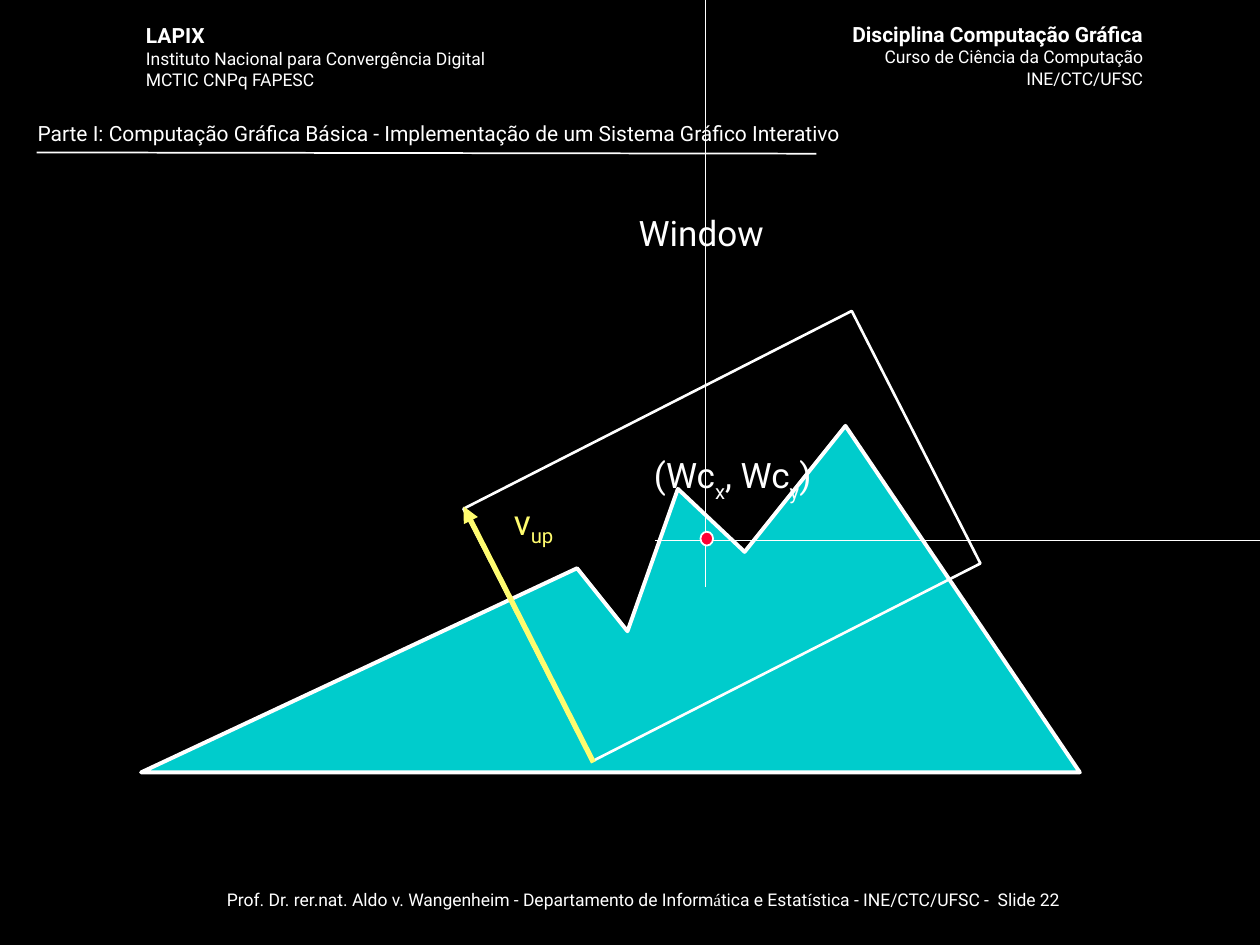
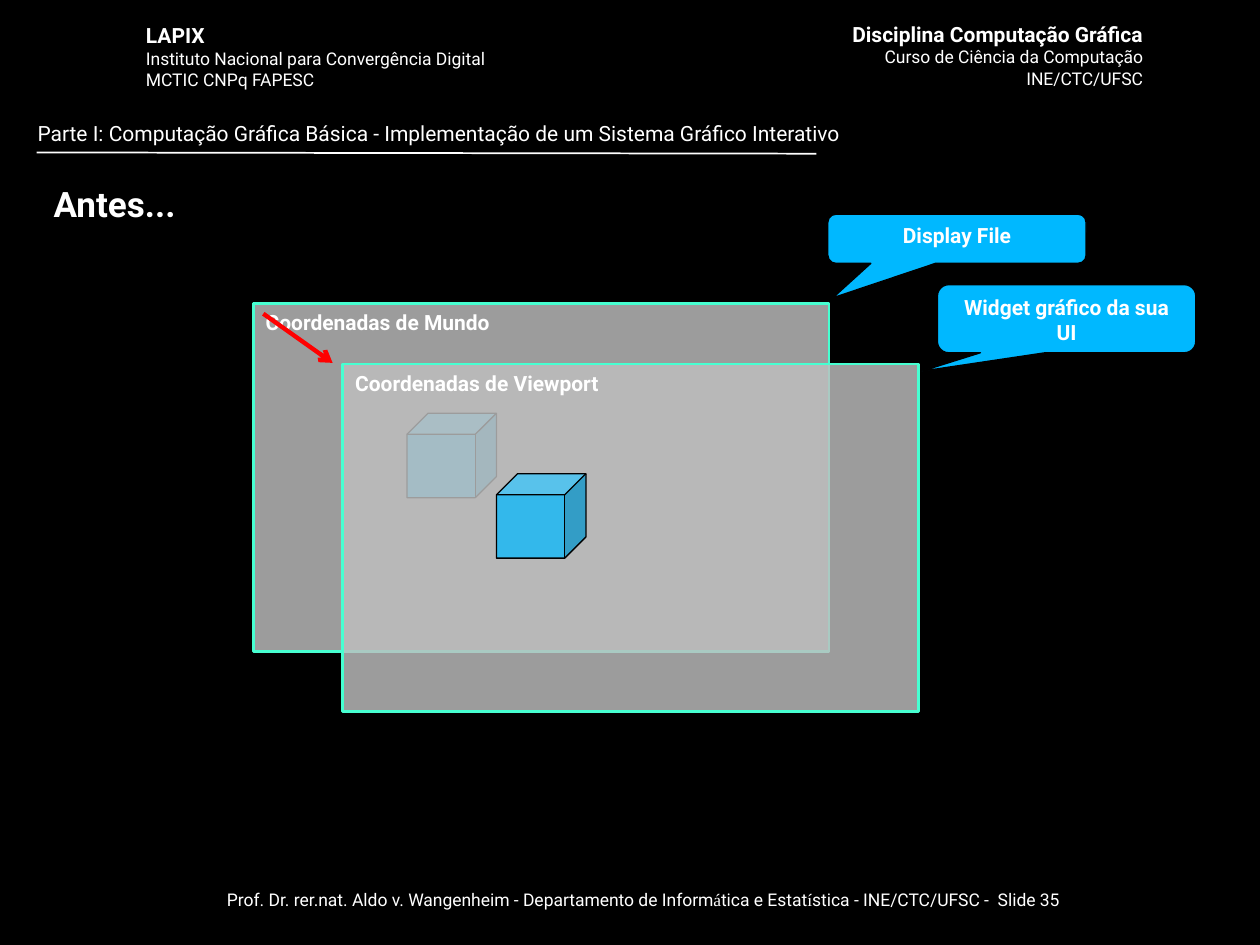
"""Build two computer graphics slides on windows and viewports."""
import lxml.etree
import pptx
import pptx.dml.color
import pptx.enum.shapes
import pptx.enum.text
import pptx.oxml.ns
import pptx.util

Inches = pptx.util.Inches
Pt = pptx.util.Pt
qn = pptx.oxml.ns.qn
SHAPES = pptx.enum.shapes.MSO_SHAPE
ALIGN = pptx.enum.text.PP_ALIGN
AUTO_SIZE = pptx.enum.text.MSO_AUTO_SIZE
TOP = pptx.enum.text.MSO_ANCHOR.TOP

COLORS = {
    "background": "000000",
    "white": "FFFFFF",
    "mountain": "00CCCC",
    "center": "FF0033",
    "up_vector": "FFFC6F",
    "panel": "BFBFBF",
    "panel_border": "47FFD1",
    "blue": "00B8FF",
    "red": "FF0000",
}
BODY_FONT = "Roboto"
ACCENT_FONT = "Times New Roman"
PART_TITLE = "Parte I: Computação Gráfica Básica - Implementação de um Sistema Gráfico Interativo"
LAB_LINES = ["LAPIX", "Instituto Nacional para Convergência Digital", "MCTIC CNPq FAPESC"]
COURSE_LINES = ["Disciplina Computação Gráfica", "Curso de Ciência da Computação", "INE/CTC/UFSC"]
MOUNTAIN = [(8.57, 6.13), (1.12, 6.13), (4.58, 4.51), (4.98, 5.01),
            (5.38, 3.88), (5.91, 4.38), (6.71, 3.38)]


def rgb(name):
    """Return the named colour."""
    return pptx.dml.color.RGBColor.from_string(COLORS[name])


def format_run(run, size, color="white", bold=False, font=BODY_FONT, baseline=0):
    """Format one run; baseline is a percentage."""
    run.font.name = font
    run.font.size = Pt(size)
    run.font.bold = bold
    run.font.color.rgb = rgb(color)
    if baseline:
        run.font._element.set("baseline", str(baseline * 1000))


def add_text_box(slide, box, wrap=True):
    """Add an empty text box and return its text frame."""
    frame = slide.shapes.add_textbox(*map(Inches, box)).text_frame
    frame.word_wrap = wrap
    return frame


def add_runs(paragraph, pieces, size, color="white"):
    """Add runs from pairs of text and special formatting."""
    for text, options in pieces:
        run = paragraph.add_run()
        run.text = text
        format_run(run, size, color, **options)


def add_heading(slide, box, lines, align):
    """Add a block with a bold first line and smaller lines below it."""
    frame = add_text_box(slide, box, wrap=False)
    frame.auto_size = AUTO_SIZE.SHAPE_TO_FIT_TEXT
    frame.text = "\n".join(lines)
    for index, paragraph in enumerate(frame.paragraphs):
        paragraph.alignment = align
        first = index == 0
        format_run(paragraph.runs[0], 12 if first else 10, bold=first)


def add_line(slide, start, end, color="white", width=1, arrowhead=None):
    """Add a straight line, with an arrowhead at its end if one is named."""
    connector = slide.shapes.add_connector(
        pptx.enum.shapes.MSO_CONNECTOR.STRAIGHT, *map(Inches, start + end))
    connector.line.color.rgb = rgb(color)
    connector.line.width = Pt(width)
    if arrowhead:
        lxml.etree.SubElement(connector.line._get_or_add_ln(), qn("a:tailEnd"), type=arrowhead)
    lxml.etree.SubElement(connector._element.spPr, qn("a:effectLst"))


def style_shape(shape, fill, line, width, opacity=100):
    """Set the fill, outline and opacity of a shape."""
    shape.shadow.inherit = False
    shape.line.color.rgb = rgb(line)
    shape.line.width = Pt(width)
    if fill is None:
        shape.fill.background()
        return
    shape.fill.solid()
    shape.fill.fore_color.rgb = rgb(fill)
    if opacity < 100:
        color = shape._element.spPr.find(qn("a:solidFill"))[0]
        lxml.etree.SubElement(color, qn("a:alpha"), val=str(opacity * 1000))


def add_shape(slide, kind, box, fill, line, width, opacity=100):
    """Add a styled preset shape."""
    shape = slide.shapes.add_shape(kind, *map(Inches, box))
    style_shape(shape, fill, line, width, opacity)
    return shape


def label_shape(shape, text, align):
    """Write a bold label at the top of a shape."""
    frame = shape.text_frame
    frame.text = text
    frame.word_wrap = True
    frame.vertical_anchor = TOP
    frame.paragraphs[0].alignment = align
    format_run(frame.paragraphs[0].runs[0], 12, bold=True)


def add_coordinate_panel(slide, left, top, label):
    """Add a translucent coordinate panel holding a cube."""
    panel = add_shape(slide, SHAPES.RECTANGLE, (left, top, 4.57, 2.76),
                      "panel", "panel_border", 1.5, 82)
    label_shape(panel, label, ALIGN.LEFT)
    add_shape(slide, SHAPES.CUBE, (left + 1.22, top + 0.87, 0.71, 0.67),
              "blue", "background", 0.75, 72)


def add_callout(slide, box, tip, text):
    """Add a rounded callout pointing at the relative tip."""
    callout = add_shape(slide, SHAPES.ROUNDED_RECTANGULAR_CALLOUT, box, "blue", "background", 0.75)
    callout.adjustments[0], callout.adjustments[1] = tip
    label_shape(callout, text, ALIGN.CENTER)


def add_footer(slide, number):
    """Add the author line with the slide number."""
    paragraph = add_text_box(slide, (0.69, 7.01, 8.83, 0.44)).paragraphs[0]
    paragraph.alignment = ALIGN.CENTER
    accent = {"font": ACCENT_FONT}
    add_runs(paragraph, [
        ("Prof. Dr. rer.nat. Aldo v. Wangenheim - Departamento de Inform", {}),
        ("á", accent),
        ("tica e Estat", {}),
        ("í", accent),
        (f"stica - INE/CTC/UFSC -  Slide {number}", {}),
    ], 10)


def add_titled_slide(presentation, title, box, number, bold=False):
    """Add a slide with its title and the shared header and footer."""
    slide = presentation.slides.add_slide(presentation.slide_layouts[5])
    shape = slide.shapes.title
    shape.left, shape.top, shape.width, shape.height = map(Inches, box)
    frame = shape.text_frame
    frame.text = title
    frame.word_wrap = False
    frame.auto_size = AUTO_SIZE.NONE
    frame.vertical_anchor = TOP
    frame.paragraphs[0].alignment = ALIGN.CENTER
    format_run(frame.paragraphs[0].runs[0], 20, bold=bold)

    add_footer(slide, number)
    add_line(slide, (0.29, 1.21), (6.48, 1.22))
    part = add_text_box(slide, (0.2, 0.91, 9.5, 0.3))
    part.text = PART_TITLE
    format_run(part.paragraphs[0].runs[0], 12)
    add_heading(slide, (6.42, 0.12, 2.75, 0.63), COURSE_LINES, ALIGN.RIGHT)
    add_heading(slide, (1.06, 0.13, 2.92, 0.65), LAB_LINES, ALIGN.LEFT)
    return slide


def build_window_slide(presentation):
    """Show a rotated window over the mountain."""
    slide = add_titled_slide(presentation, "Window", (4.84, 1.63, 1.45, 0.44), 22)
    points = [(Inches(x), Inches(y)) for x, y in MOUNTAIN]
    builder = slide.shapes.build_freeform(*points[0])
    builder.add_line_segments(points[1:], close=True)
    style_shape(builder.convert_to_shape(), "mountain", "white", 2.25)

    window = add_shape(slide, SHAPES.RECTANGLE, (4, 3.13, 3.46, 2.25), None, "white", 1.5)
    window.rotation = 333
    add_line(slide, (5.6, 0), (5.6, 4.66))
    add_line(slide, (5.2, 4.29), (10, 4.29))
    add_shape(slide, SHAPES.OVAL, (5.56, 4.22, 0.1, 0.11), "center", "white", 1)
    add_line(slide, (4.71, 6.05), (3.68, 4.02), "up_vector", 3, "triangle")

    up_label = add_text_box(slide, (3.94, 3.92, 0.59, 0.86)).paragraphs[0]
    up_label.alignment = ALIGN.CENTER
    add_runs(up_label, [("v", {}), ("up", {"baseline": -25})], 20, "up_vector")
    center_label = add_text_box(slide, (5.09, 3.55, 1.52, 0.89)).paragraphs[0]
    subscript = {"baseline": -30}
    add_runs(center_label, [("(Wc", {}), ("x", subscript), (", Wc", {}),
                            ("y", subscript), (")", {})], 20)


def build_before_slide(presentation):
    """Show world and viewport coordinates as overlapping panels."""
    slide = add_titled_slide(presentation, "Antes...", (0.28, 1.4, 1.26, 0.44), 35, bold=True)
    add_coordinate_panel(slide, 2.01, 2.41, "Coordenadas de Mundo")
    add_callout(slide, (6.57, 1.7, 2.05, 0.39), (-0.48, 1.2), "Display File")
    add_coordinate_panel(slide, 2.72, 2.89, "Coordenadas de Viewport")
    add_callout(slide, (7.44, 2.26, 2.05, 0.54), (-0.56, 0.77), "Widget gráfico da sua UI")
    add_line(slide, (2.09, 2.49), (2.64, 2.88), "red", 2.5, "arrow")


def main():
    """Build and save the presentation."""
    presentation = pptx.Presentation()
    presentation.slide_width = Inches(10)
    presentation.slide_height = Inches(7.5)
    background = presentation.slide_master.background.fill
    background.solid()
    background.fore_color.rgb = rgb("background")
    build_window_slide(presentation)
    build_before_slide(presentation)
    presentation.save("out.pptx")


if __name__ == "__main__":
    main()
